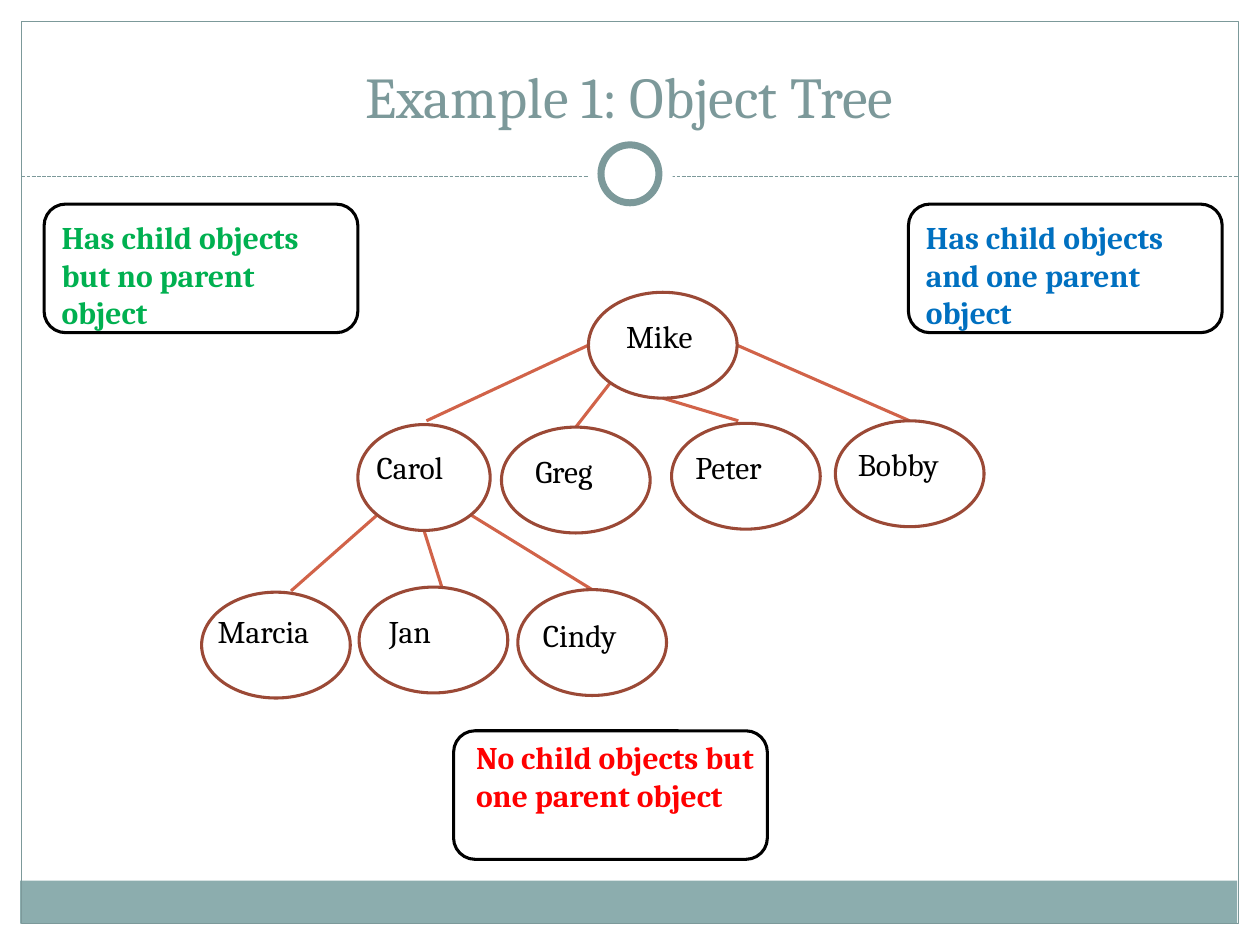
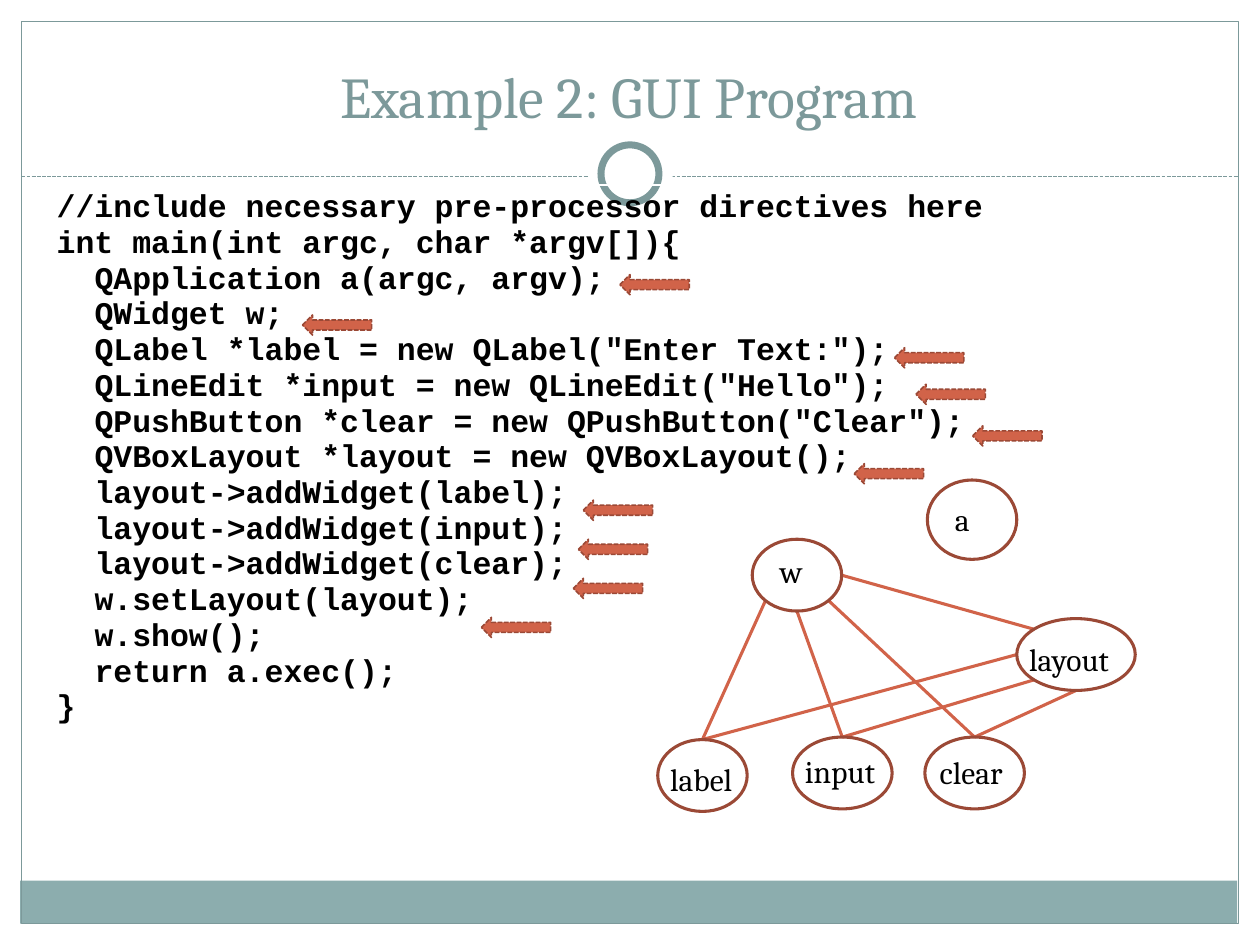
from dataclasses import dataclass
from lxml import etree
from pptx import Presentation
from pptx import util as u
from pptx.dml.color import RGBColor
from pptx.enum import dml, shapes, text
from pptx.oxml import ns


@dataclass(frozen=True)
class Theme:
    sage: str = "7C999A"
    band: str = "8CADAE"
    rust: str = "D16349"
    brown: str = "9B4936"
    black: str = "000000"
    white: str = "FFFFFF"
    green: str = "00B050"
    blue: str = "0070C0"
    red: str = "FF0000"
    serif: str = "Cambria"
    mono: str = "Courier New"
    title_size: float = 33
    text_size: float = 18
    line: float = 1.75
    thin: float = 0.75


T = Theme()


def write(tf, lines, font=T.serif, size=T.text_size, color=T.black, bold=False,
          align=text.PP_ALIGN.LEFT, anchor=text.MSO_ANCHOR.TOP):
    tf.word_wrap = True
    tf.auto_size = text.MSO_AUTO_SIZE.NONE
    tf.vertical_anchor = anchor
    for i, line in enumerate(lines.split("\n")):
        p = tf.paragraphs[0] if i == 0 else tf.add_paragraph()
        p.alignment = align
        r = p.add_run()
        r.text = line
        r.font.name, r.font.size, r.font.bold = font, u.Pt(size), bold
        r.font.color.rgb = RGBColor.from_string(color)


def shape(parent, kind, box, fill=None, line=None, width=T.line, dash=None):
    sp = parent.add_shape(kind, *map(u.Inches, box))
    sp.shadow.inherit = False
    if fill:
        sp.fill.solid()
        sp.fill.fore_color.rgb = RGBColor.from_string(fill)
    else:
        sp.fill.background()
    if line:
        sp.line.color.rgb = RGBColor.from_string(line)
        sp.line.width = u.Pt(width)
        sp.line.dash_style = dash
    else:
        sp.line.fill.background()


KIND = shapes.MSO_SHAPE
DASH = dml.MSO_LINE.SQUARE_DOT
SITES = {"top": (0.5, 0), "left": (0, 0.5), "bottom": (0.5, 1), "right": (1, 0.5),
         "top left": (0.15, 0.15), "bottom left": (0.15, 0.85), "bottom right": (0.85, 0.85)}

family = {
    "Mike": (4.67, 2.32, 1.18, 0.84, 4.87, 2.47, 0.91),
    "Carol": (2.84, 3.37, 1.05, 0.84, 2.89, 3.51, 1.0),
    "Greg": (3.98, 3.39, 1.18, 0.84, 4.15, 3.54, 0.87),
    "Peter": (5.33, 3.36, 1.18, 0.84, 5.42, 3.51, 0.84),
    "Bobby": (6.63, 3.34, 1.18, 0.84, 6.71, 3.48, 1.1),
    "Marcia": (1.6, 4.7, 1.18, 0.84, 1.63, 4.81, 1.2),
    "Jan": (2.85, 4.66, 1.18, 0.84, 2.99, 4.81, 0.93),
    "Cindy": (4.11, 4.68, 1.18, 0.84, 4.21, 4.84, 1.1),
}
family_links = [
    ("Mike", "left", "Carol", "top", 0.02, -0.03),
    ("Mike", "bottom left", "Greg", "top", 0, 0),
    ("Mike", "bottom", "Peter", "top", -0.06, -0.02),
    ("Mike", "right", "Bobby", "top", 0, 0),
    ("Carol", "bottom left", "Marcia", "top", 0.12, -0.01),
    ("Carol", "bottom", "Jan", "top", 0.07, 0.01),
    ("Carol", "bottom right", "Cindy", "top", 0, 0),
]
widgets = {
    "a": (7.36, 3.81, 0.71, 0.63, 7.48, 3.92, 0.39),
    "w": (5.97, 4.28, 0.71, 0.57, 6.09, 4.33, 0.39),
    "layout": (8.07, 4.91, 0.94, 0.57, 8.07, 5.03, 0.94),
    "label": (5.22, 5.87, 0.71, 0.57, 5.22, 5.98, 0.78),
    "input": (6.29, 5.85, 0.79, 0.57, 6.29, 5.92, 0.87),
    "clear": (7.34, 5.85, 0.79, 0.57, 7.36, 5.93, 0.87),
}
widget_links = [
    ("layout", "left", "label", "top", 0, 0),
    ("layout", "bottom left", "input", "top", 0, 0),
    ("layout", "bottom", "clear", "top", 0, 0),
    ("w", "bottom left", "label", "top", 0, 0),
    ("w", "bottom", "input", "top", 0, 0),
    ("w", "bottom right", "clear", "top", 0, 0),
    ("w", "right", "layout", "top left", 0, 0),
]
callouts = [
    ("Has child objects but no parent object", T.green, 0.35, 1.62, 0.04, 0.06),
    ("Has child objects and one parent object", T.blue, 7.21, 1.62, 0.04, 0.06),
    ("No child objects but one parent object", T.red, 3.6, 5.8, 0.08, 0.01),
]
code = """//include necessary pre-processor directives here
int main(int argc, char *argv[]){
QApplication a(argc, argv);
QWidget w;
QLabel *label = new QLabel("Enter Text:");
QLineEdit *input = new QLineEdit("Hello");
QPushButton *clear = new QPushButton("Clear");
QVBoxLayout *layout = new QVBoxLayout();
layout->addWidget(label);
layout->addWidget(input);
layout->addWidget(clear);
w.setLayout(layout);
w.show();
return a.exec();
}"""
arrows = [(4.92, 2.18), (2.4, 2.5), (7.1, 2.76), (7.27, 3.05), (7.72, 3.38),
          (6.78, 3.68), (4.63, 3.97), (4.59, 4.28), (4.55, 4.59), (3.82, 4.9)]

prs = Presentation()
prs.slide_width, prs.slide_height = u.Inches(10), u.Inches(7.5)

for title, nodes, links in [("Example 1: Object Tree", family, family_links),
                            ("Example 2: GUI Program", widgets, widget_links)]:
    s = prs.slides.add_slide(prs.slide_layouts[5])
    sp = s.shapes.title
    sp.left, sp.top, sp.width, sp.height = map(u.Inches, (0.33, 0.25, 9.33, 0.83))
    write(sp.text_frame, title, size=T.title_size, color=T.sage,
          align=text.PP_ALIGN.CENTER, anchor=text.MSO_ANCHOR.BOTTOM)

    shape(s.shapes, KIND.RECTANGLE, (0.16, 6.99, 9.66, 0.34), fill=T.band)
    shape(s.shapes, KIND.RECTANGLE, (0.17, 0.17, 9.66, 7.16), line=T.sage, width=T.thin)

    lines = [(0.17, 1.4, 9.83, 1.4, T.sage, T.thin, DASH)]
    for start, start_site, end, end_site, dx, dy in links:
        (x1, y1), (x2, y2) = [
            (nodes[n][0] + nodes[n][2] * SITES[site][0], nodes[n][1] + nodes[n][3] * SITES[site][1])
            for n, site in ((start, start_site), (end, end_site))]
        lines.append((x1, y1, x2 + dx, y2 + dy, T.rust, T.line, None))
    for *ends, color, width, dash in lines:
        cx = s.shapes.add_connector(shapes.MSO_CONNECTOR.STRAIGHT, *map(u.Inches, ends))
        cx.line.color.rgb = RGBColor.from_string(color)
        cx.line.width = u.Pt(width)
        cx.line.dash_style = dash
        etree.SubElement(cx._element.spPr, ns.qn("a:effectLst"))

    shape(s.shapes, KIND.OVAL, (4.67, 1.05, 0.67, 0.67), fill=T.white)
    shape(s.shapes, KIND.OVAL, (4.77, 1.15, 0.46, 0.46), fill=T.white, line=T.sage, width=4)

    for name, (x, y, w, h, label_x, label_y, label_w) in nodes.items():
        grp = s.shapes.add_group_shape()
        shape(grp.shapes, KIND.OVAL, (x, y, w, h), line=T.brown)
        tb = grp.shapes.add_textbox(*map(u.Inches, (label_x, label_y, label_w, 0.4)))
        write(tb.text_frame, name)

tree, gui = prs.slides

for message, color, x, y, dx, dy in callouts:
    shape(tree.shapes, KIND.ROUNDED_RECTANGLE, (x, y, 2.49, 1.02), line=T.black)
    tb = tree.shapes.add_textbox(*map(u.Inches, (x + dx, y + dy, 2.41, 1.01)))
    write(tb.text_frame, message, color=color, bold=True)

tbl = gui.shapes.add_table(1, 1, *map(u.Inches, (0.35, 1.47, 9.37, 5.43))).table
tbl.first_row = tbl.horz_banding = False
cell = tbl.cell(0, 0)
write(cell.text_frame, code, font=T.mono, bold=True)
for p in cell.text_frame.paragraphs[2:-1]:
    p._p.get_or_add_pPr().set("marL", str(u.Inches(0.3)))
tcPr = cell._tc.get_or_add_tcPr()
for side, width in (("L", 1), ("R", 1), ("T", 1), ("B", 3)):
    ln = etree.SubElement(tcPr, ns.qn(f"a:ln{side}"), w=str(u.Pt(width)))
    fill = etree.SubElement(ln, ns.qn("a:solidFill"))
    etree.SubElement(fill, ns.qn("a:srgbClr"), val=T.white)
cell.fill.background()

for x, y in arrows:
    shape(gui.shapes, KIND.LEFT_ARROW, (x, y, 0.55, 0.16), fill=T.rust, line=T.brown,
          width=0.9, dash=DASH)

prs.save("out.pptx")
